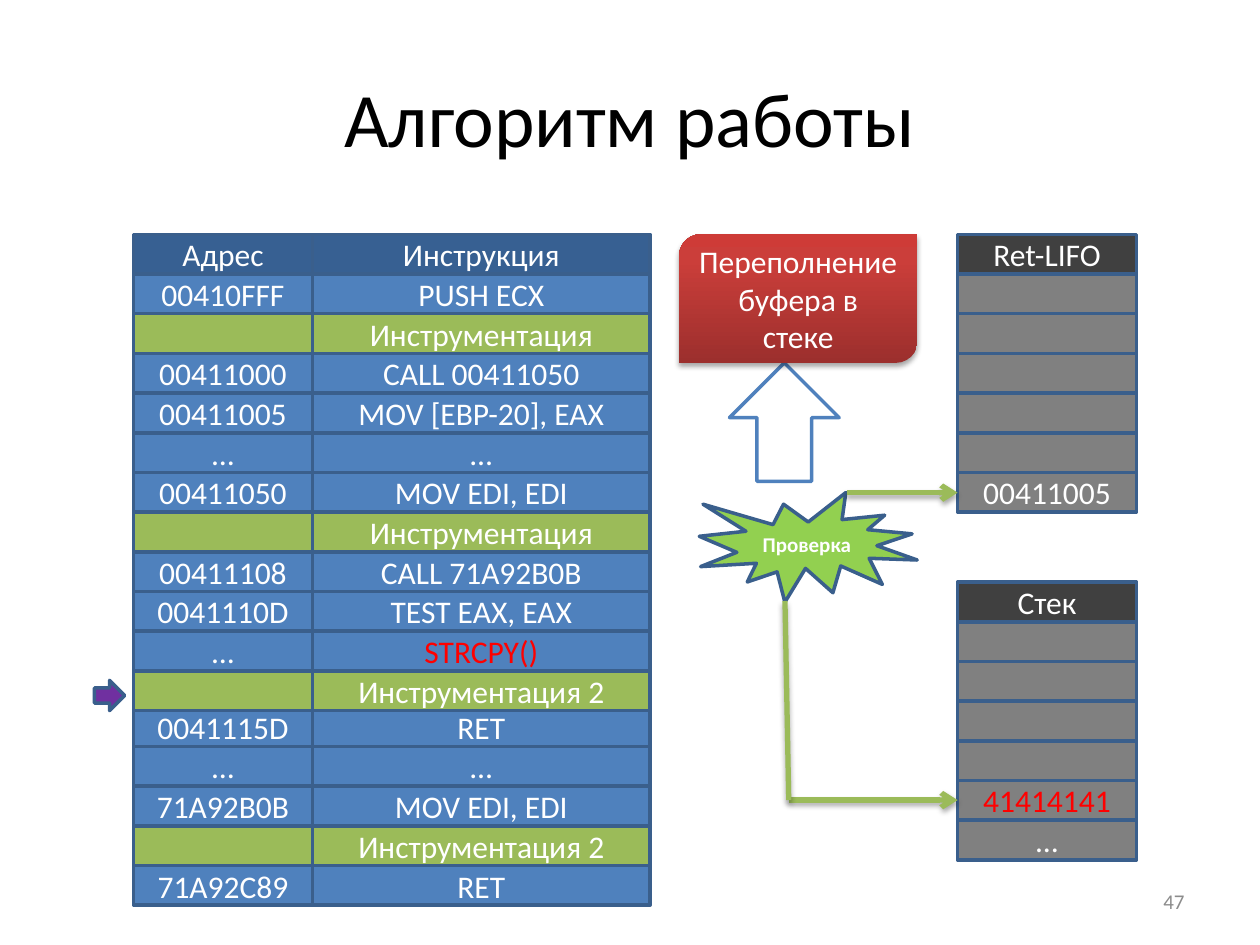
from copy import deepcopy
from dataclasses import dataclass

from lxml.etree import SubElement
from pptx import Presentation
from pptx.dml.color import RGBColor
from pptx.enum.shapes import MSO_CONNECTOR, MSO_SHAPE
from pptx.enum.text import MSO_ANCHOR, PP_ALIGN
from pptx.oxml.ns import qn
from pptx.util import Emu, Pt

EMU_PER_PX = 4572
ROW_HEIGHT = 63
TABLE_TOP = 372
LATE_ROW, LATE_SHIFT = 12, -6
TABLE_COLUMNS = ((212, 284), (496, 536))
STACK_LEFT, STACK_WIDTH = 1520, 284


@dataclass(frozen=True)
class Theme:
    """Colours and type sizes of the slide."""
    font: str = "Calibri"
    title_size: int = 44
    body_size: int = 18
    small_size: int = 12
    black: str = "000000"
    white: str = "FFFFFF"
    red: str = "FF0000"
    muted: str = "8C8C8C"
    edge: str = "3A5F8C"
    header: str = "376092"
    code: str = "4F81BD"
    probe: str = "9BBB59"
    stack_header: str = "404040"
    stack: str = "808080"
    check: str = "92D050"
    pointer: str = "7030A0"
    alarm: tuple = ((0, "9C2F2D"), (0.8, "CB3E3A"), (1, "CE3B37"))


THEME = Theme()

INSTRUCTIONS = (
    ("Адрес", "Инструкция"),
    ("00410FFF", "PUSH ECX"),
    ("", "Инструментация"),
    ("00411000", "CALL 00411050"),
    ("00411005", "MOV [EBP-20], EAX"),
    ("…", "…"),
    ("00411050", "MOV EDI, EDI"),
    ("", "Инструментация"),
    ("00411108", "CALL 71A92B0B"),
    ("0041110D", "TEST EAX, EAX"),
    ("…", "STRCPY()"),
    ("", "Инструментация 2"),
    ("0041115D", "RET"),
    ("…", "…"),
    ("71A92B0B", "MOV EDI, EDI"),
    ("", "Инструментация 2"),
    ("71A92C89", "RET"),
)
RETURN_STACK = ("Ret-LIFO", "", "", "", "", "", "00411005")
DATA_STACK = ("Стек", "", "", "", "", "41414141", "…")
DANGEROUS = {"STRCPY()", "41414141"}


def px(*lengths):
    """Turn pixel lengths into EMU."""
    return [Emu(length * EMU_PER_PX) for length in lengths]


def write(frame, text, color=THEME.white, size=THEME.body_size, bold=False, align=PP_ALIGN.CENTER):
    """Fill a text frame with one formatted paragraph."""
    frame.word_wrap = True
    frame.vertical_anchor = MSO_ANCHOR.MIDDLE
    para = frame.paragraphs[0]
    para.alignment = align
    formats = {"name": THEME.font, "size": Pt(size), "bold": bold}
    for number, line in enumerate(text.split("\n")):
        if number:
            para.add_line_break()
        span = para.add_run()
        span.text = line
        for name, value in formats.items():
            setattr(span.font, name, value)
        span.font.color.rgb = RGBColor.from_string(color)


def add_box(page, kind, place, fill, edge=THEME.edge, text="", **style):
    """Add a filled, outlined shape with optional text."""
    box = page.shapes.add_shape(kind, *px(*place))
    box.shadow.inherit = False
    box.fill.solid()
    box.fill.fore_color.rgb = RGBColor.from_string(fill)
    box.line.color.rgb = RGBColor.from_string(edge)
    box.line.width = Pt(2)
    if text:
        write(box.text_frame, text, **style)
    return box


def add_cell(page, place, fill, text):
    """Add one rectangular cell, marking dangerous values in red."""
    color = THEME.red if text in DANGEROUS else THEME.white
    add_box(page, MSO_SHAPE.RECTANGLE, place, fill, text=text, color=color)


def cast_shadow(shape):
    """Give a shape or connector a soft shadow straight below it."""
    properties = shape.element.spPr
    effects = properties.find(qn("a:effectLst"))
    if effects is None:
        effects = SubElement(properties, qn("a:effectLst"))
    shadow = SubElement(effects, qn("a:outerShdw"), blurRad=str(Pt(3.1)), dist=str(Pt(1.8)),
                        dir="5400000", rotWithShape="0")
    color = SubElement(shadow, qn("a:srgbClr"), val=THEME.black)
    SubElement(color, qn("a:alpha"), val="35000")


def add_link(page, start, end, arrow=False):
    """Add a shadowed line, optionally ending in an open arrowhead."""
    link = page.shapes.add_connector(MSO_CONNECTOR.STRAIGHT, *px(*start, *end))
    link.line.color.rgb = RGBColor.from_string(THEME.probe)
    link.line.width = Pt(3)
    if arrow:
        SubElement(link.element.spPr.find(qn("a:ln")), qn("a:tailEnd"), type="arrow")
    cast_shadow(link)


def add_alarm(page, place, text):
    """Add the gradient box that names the detected problem."""
    box = add_box(page, MSO_SHAPE.ROUND_2_DIAG_RECTANGLE, place, THEME.white, text=text)
    box.line.fill.background()
    box.fill.gradient()
    box.fill.gradient_angle = 90
    stop_list = box.element.spPr.find(qn("a:gradFill")).find(qn("a:gsLst"))
    stop_list.append(deepcopy(stop_list[-1]))
    for stop, (position, color) in zip(box.fill.gradient_stops, THEME.alarm):
        stop.position = position
        stop.color.rgb = RGBColor.from_string(color)
    cast_shadow(box)


def add_stack(page, top, values):
    """Add a column of cells under a dark header."""
    for row, value in enumerate(values):
        fill = THEME.stack if row else THEME.stack_header
        add_cell(page, (STACK_LEFT, top + row * ROW_HEIGHT, STACK_WIDTH, ROW_HEIGHT), fill, value)


def add_instructions(page):
    """Add the listing, with instrumented rows lying on top of the others."""
    rows = sorted(enumerate(INSTRUCTIONS), key=lambda item: not item[1][0])
    for row, values in rows:
        fill = THEME.header if row == 0 else THEME.code if values[0] else THEME.probe
        top = TABLE_TOP + row * ROW_HEIGHT + (LATE_SHIFT if row >= LATE_ROW else 0)
        for (left, width), value in zip(TABLE_COLUMNS, values):
            add_cell(page, (left, top, width, ROW_HEIGHT), fill, value)


def add_title(page, text):
    """Place and format the title."""
    title = page.shapes.title
    title.left, title.top, title.width, title.height = px(100, 60, 1800, 250)
    write(title.text_frame, text, THEME.black, THEME.title_size)


def add_page_number(page, text):
    """Add the page number at the bottom right."""
    box = page.shapes.add_textbox(*px(1434, 1390, 466, 80))
    write(box.text_frame, text, THEME.muted, THEME.small_size, align=PP_ALIGN.RIGHT)


def main():
    """Build and save the deck."""
    deck = Presentation()
    deck.slide_width, deck.slide_height = px(2000, 1500)
    page = deck.slides.add_slide(deck.slide_layouts[5])
    add_title(page, "Алгоритм работы")
    add_page_number(page, "47")
    add_stack(page, TABLE_TOP, RETURN_STACK)
    add_box(page, MSO_SHAPE.EXPLOSION1, (1110, 782, 346, 174), THEME.check,
            text="Проверка", size=THEME.small_size, bold=True)
    add_stack(page, 924, DATA_STACK)
    add_link(page, (1252, 1270), (STACK_LEFT, 1270), arrow=True)
    add_link(page, (1246, 954), (1252, 1270))
    add_link(page, (1344, 782), (STACK_LEFT, 782), arrow=True)
    add_box(page, MSO_SHAPE.UP_ARROW, (1158, 576, 174, 188), THEME.white, THEME.code)
    add_alarm(page, (1078, TABLE_TOP, 378, 204), "Переполнение буфера в\nстеке")
    add_instructions(page)
    add_box(page, MSO_SHAPE.RIGHT_ARROW, (150, 1080, 48, 48), THEME.pointer)
    deck.save("out.pptx")


if __name__ == "__main__":
    main()
